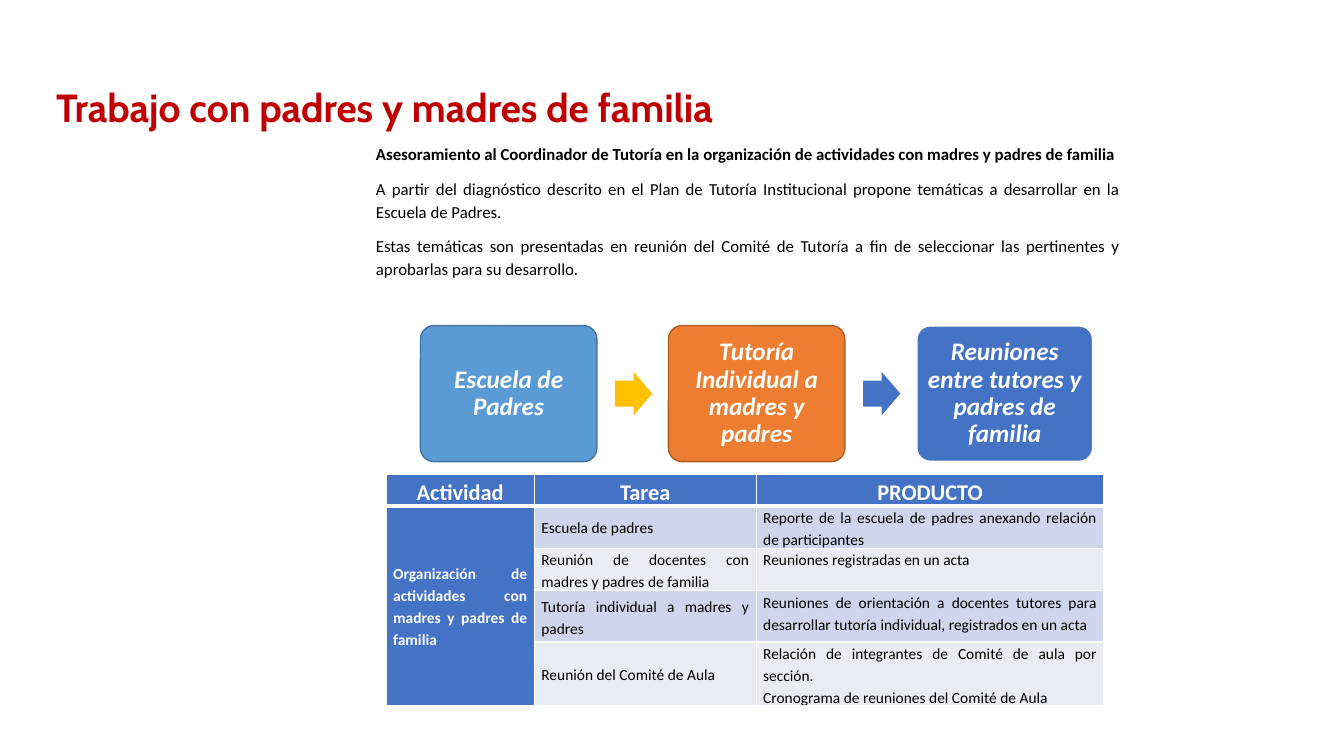
from lxml import etree
from pptx import Presentation, util as u
from pptx.dml.color import RGBColor
from pptx.enum import shapes, text
from pptx.oxml import ns

PX = 9144
THEME = {
    "red": "C00000", "black": "000000", "white": "FFFFFF",
    "blue": "4472C4", "sky": "5B9BD5", "sky_edge": "43739E",
    "orange": "ED7D31", "orange_edge": "AF5C24", "gold": "FFC000",
    "bands": ("CFD5EA", "E9EBF5"),
    "title_font": "Cabin", "body_font": "Calibri",
    "title": 28, "step": 18, "head": 16, "body": 12, "cell": 11,
}
ALIGN = text.PP_ALIGN
MIDDLE = text.MSO_ANCHOR.MIDDLE


def rgb(name):
    return RGBColor.from_string(THEME.get(name, name))


def add_text(p, words, size, color, bold=False, italic=False, align=ALIGN.JUSTIFY,
             spacing=1.15, font="body_font"):
    p.alignment, p.line_spacing = align, spacing
    r = p.add_run()
    r.text = words
    r.font.name, r.font.size = THEME[font], u.Pt(THEME[size])
    r.font.bold, r.font.italic = bold, italic
    r.font.color.rgb = rgb(color)


prs = Presentation()
prs.slide_width, prs.slide_height = 1333 * PX, 750 * PX
s = prs.slides.add_slide(prs.slide_layouts[6])

intro = [
    "Asesoramiento al Coordinador de Tutoría en la organización de actividades con madres y padres de familia",
    "A partir del diagnóstico descrito en el Plan de Tutoría Institucional propone temáticas a desarrollar en la Escuela de Padres.",
    "Estas temáticas son presentadas en reunión del Comité de Tutoría a fin de seleccionar las pertinentes y aprobarlas para su desarrollo.",
]
tf = s.shapes.add_textbox(263 * PX, 135 * PX, 858 * PX, 204 * PX).text_frame
tf.word_wrap = True
for i, words in enumerate(intro):
    p = tf.add_paragraph() if i else tf.paragraphs[0]
    p.space_after = u.Pt(8)
    p._p.get_or_add_pPr().set("marL", str(100 * PX))
    add_text(p, words, "body", "black", bold=i == 0)

steps = [
    ("Escuela de Padres", "sky", "sky_edge", 1, "gold"),
    ("Tutoría Individual a madres y padres", "orange", "orange_edge", 1, "blue"),
    ("Reuniones entre tutores y padres de familia", "blue", "white", 1.5, None),
]
for i, (words, fill, edge, width, arrow) in enumerate(steps):
    left = 417 + 246 * i
    sp = s.shapes.add_shape(shapes.MSO_SHAPE.ROUNDED_RECTANGLE, left * PX, 323 * PX, 175 * PX, 135 * PX)
    sp.adjustments[0] = 0.1
    sp.shadow.inherit = False
    sp.fill.solid()
    sp.fill.fore_color.rgb = rgb(fill)
    sp.line.color.rgb, sp.line.width = rgb(edge), u.Pt(width)
    tf = sp.text_frame
    tf.word_wrap, tf.vertical_anchor = True, MIDDLE
    tf.margin_left = tf.margin_right = tf.margin_top = tf.margin_bottom = 7 * PX
    add_text(tf.paragraphs[0], words, "step", "white", True, True, ALIGN.CENTER, 0.9)
    if arrow:
        sp = s.shapes.add_shape(shapes.MSO_SHAPE.RIGHT_ARROW, (left + 193) * PX, 369 * PX, 37 * PX, 43 * PX)
        sp.adjustments[0], sp.adjustments[1] = 0.6, 0.5
        sp.shadow.inherit = False
        sp.fill.solid()
        sp.fill.fore_color.rgb = rgb(arrow)
        sp.line.fill.background()

rows = [
    ["Actividad", "Tarea", "PRODUCTO"],
    ["Organización de actividades con madres y padres de familia", "Escuela de padres",
     "Reporte de la escuela de padres anexando relación de participantes"],
    ["", "Reunión de docentes con madres y padres de familia", "Reuniones registradas en un acta"],
    ["", "Tutoría individual a madres y padres",
     "Reuniones de orientación a docentes tutores para desarrollar tutoría individual, registrados en un acta"],
    ["", "Reunión del Comité de Aula",
     "Relación de integrantes de Comité de aula por sección.\nCronograma de reuniones del Comité de Aula"],
]
table = s.shapes.add_table(5, 3, 383 * PX, 471 * PX, 712 * PX, 226 * PX).table
for column, width in zip(table.columns, (147, 220, 345)):
    column.width = width * PX
for row, height in zip(table.rows, (30, 42, 42, 51, 61)):
    row.height = height * PX
table.cell(1, 0).merge(table.cell(4, 0))

for y, row in enumerate(rows):
    for x, words in enumerate(row):
        cell = table.cell(y, x)
        head, key = y == 0, y == 0 or x == 0
        cell.margin_left = cell.margin_right = 7 * PX
        cell.margin_top = cell.margin_bottom = 0
        if not head and x < 2:
            cell.vertical_anchor = MIDDLE
        for i, line in enumerate(words.split("\n") if words else []):
            p = cell.text_frame.add_paragraph() if i else cell.text_frame.paragraphs[0]
            add_text(p, line, "head" if head else "cell", "white" if key else "black", key,
                     align=ALIGN.CENTER if head else ALIGN.JUSTIFY)
        tcPr = cell._tc.get_or_add_tcPr()
        for side in ("lnL", "lnR", "lnT", "lnB"):
            thick = (head and side == "lnB") or (y == 1 and side == "lnT")
            ln = etree.SubElement(tcPr, ns.qn("a:" + side), w=str(u.Pt(3 if thick else 1)))
            line_fill = etree.SubElement(ln, ns.qn("a:solidFill"))
            etree.SubElement(line_fill, ns.qn("a:srgbClr"), val=THEME["white"])
        cell.fill.solid()
        cell.fill.fore_color.rgb = rgb("blue" if key else THEME["bands"][(y - 1) % 2])

tf = s.shapes.add_textbox(46 * PX, 78 * PX, 713 * PX, 57 * PX).text_frame
tf.word_wrap = False
add_text(tf.paragraphs[0], "Trabajo con padres y madres de familia", "title", "red", True,
         align=ALIGN.LEFT, spacing=1.0, font="title_font")

prs.save("out.pptx")
